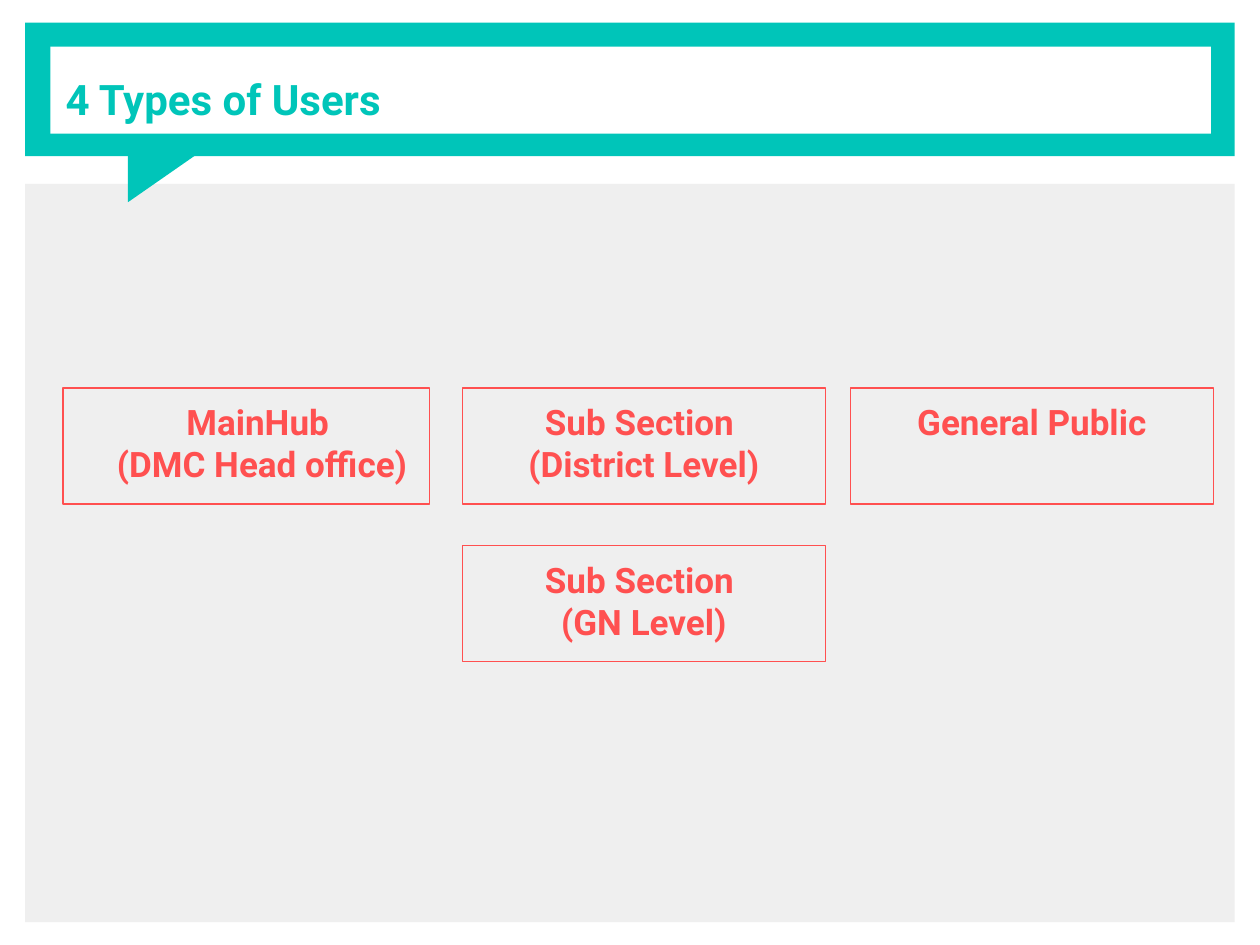
import pptx
import pptx.util
import pptx.dml.color
import pptx.enum.shapes
import pptx.enum.text
from dataclasses import dataclass

Inches = pptx.util.Inches
Pt = pptx.util.Pt
Shape = pptx.enum.shapes.MSO_SHAPE
Align = pptx.enum.text.PP_ALIGN
Anchor = pptx.enum.text.MSO_ANCHOR


@dataclass(frozen=True)
class Theme:
    font: str = "Roboto"
    teal: str = "00C5B9"
    red: str = "FF5050"
    gray: str = "EFEFEF"
    white: str = "FFFFFF"
    head: int = 24
    body: int = 20


THEME = Theme()


def color(code):
    return pptx.dml.color.RGBColor.from_string(code)


def write(shape, lines, size, tint, align=Align.CENTER, anchor=Anchor.TOP,
          margin=0, hang=0):
    """Fill a shape with bold lines, one paragraph each."""
    frame = shape.text_frame
    frame.word_wrap = True
    frame.auto_size = pptx.enum.text.MSO_AUTO_SIZE.NONE
    frame.vertical_anchor = anchor
    frame.margin_left = frame.margin_right = Inches(0.1)
    frame.margin_top = frame.margin_bottom = Inches(0.1)
    for i, line in enumerate(lines):
        para = frame.add_paragraph() if i else frame.paragraphs[0]
        para.alignment = align
        if margin:
            props = para._p.get_or_add_pPr()
            props.set("marL", str(Inches(margin)))
            props.set("indent", str(Inches(hang)))
        run = para.add_run()
        run.text = line
        font = run.font
        font.name, font.size, font.bold = THEME.font, Pt(size), True
        font.color.rgb = color(tint)


def block(slide, spot, fill=None, line=None, kind=Shape.RECTANGLE):
    """Add a flat shape at left, top, width, height."""
    shape = slide.shapes.add_shape(kind, *map(Inches, spot))
    shape.shadow.inherit = False
    if fill:
        shape.fill.solid()
        shape.fill.fore_color.rgb = color(fill)
    else:
        shape.fill.background()
    if line:
        shape.line.color.rgb = color(line)
        shape.line.width = Pt(0.75)
    else:
        shape.line.fill.background()
    return shape


def banner(slide):
    """Speech banner with a white inset and a tail."""
    block(slide, (0.2, 0.18, 9.6, 1.06), THEME.teal)
    tail = block(slide, (1.12, 1.02, 0.48, 0.69), THEME.teal,
                 kind=Shape.RIGHT_TRIANGLE)
    tail.rotation = 90
    block(slide, (0.4, 0.37, 9.21, 0.69), THEME.white)


def heading(slide, text):
    title = slide.shapes.title
    title.left, title.top = Inches(0.42), Inches(0.25)
    title.width, title.height = Inches(8.7), Inches(1.06)
    write(title, [text], THEME.head, THEME.teal, align=Align.LEFT,
          anchor=Anchor.MIDDLE)
    # Bring the title in front of the banner
    title.element.getparent().append(title.element)


def card(slide, left, top, lines, width=2.88, **format):
    box = block(slide, (left, top, width, 0.92), line=THEME.red)
    write(box, lines, THEME.body, THEME.red, **format)


def main():
    deck = pptx.Presentation()
    deck.slide_width, deck.slide_height = Inches(10), Inches(7.5)
    slide = deck.slides.add_slide(deck.slide_layouts[5])

    # Backdrop and title
    block(slide, (0.2, 1.46, 9.6, 5.86), THEME.gray)
    banner(slide)
    heading(slide, "4 Types of Users")

    # User types
    upper, lower = 3.08, 4.33
    card(slide, 0.5, upper, ["MainHub ", "(DMC Head office)"], width=2.91,
         margin=0.5, hang=-0.25)
    card(slide, 3.67, upper, ["Sub Section ", "(District Level)"])
    card(slide, 6.75, upper, ["General Public"])
    card(slide, 3.67, lower, ["Sub Section ", "(GN Level)"])

    deck.save("out.pptx")


if __name__ == "__main__":
    main()
